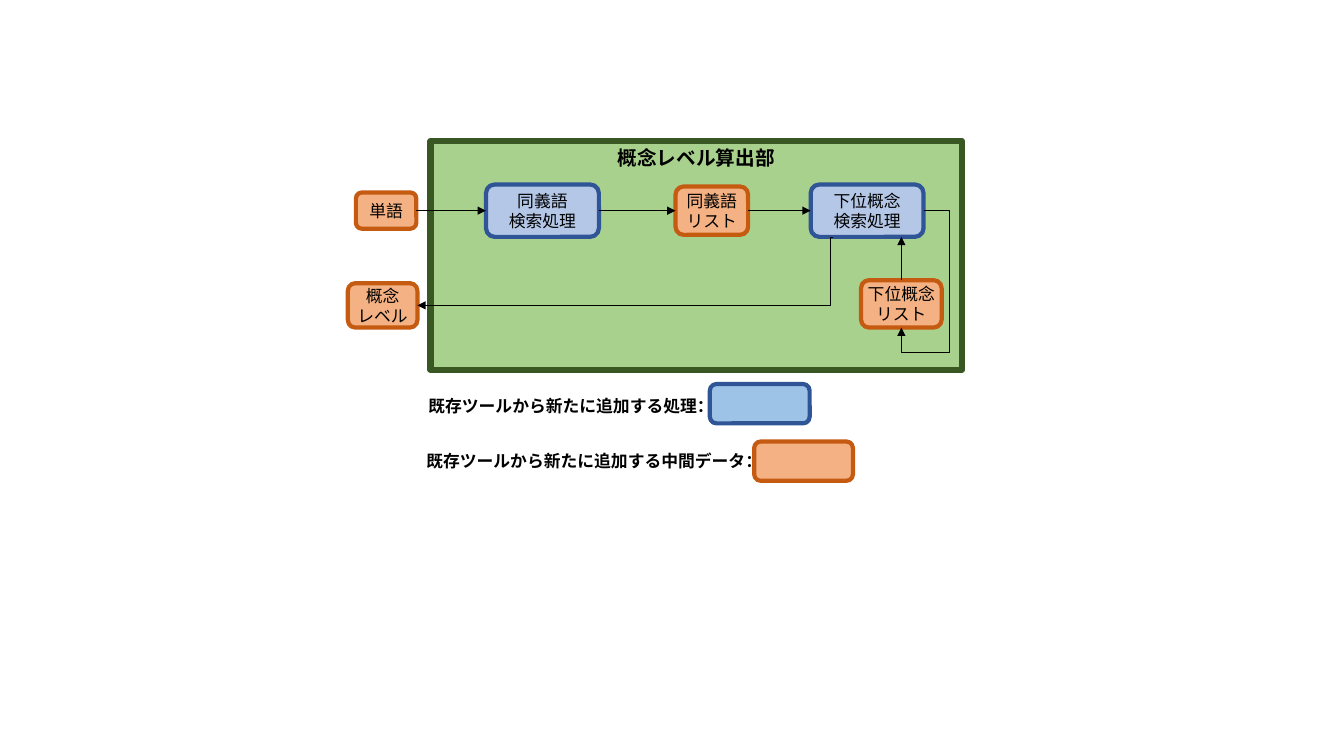
"""Build the concept level calculation flow slide."""
from typing import NamedTuple

from pptx import Presentation
from pptx.dml.color import RGBColor
from pptx.enum.shapes import MSO_CONNECTOR, MSO_SHAPE
from pptx.enum.text import MSO_ANCHOR, MSO_AUTO_SIZE, PP_ALIGN
from pptx.oxml.ns import qn
from pptx.util import Inches, Pt
from lxml import etree

RECT, ROUND = MSO_SHAPE.RECTANGLE, MSO_SHAPE.ROUNDED_RECTANGLE
STRAIGHT, ELBOW = MSO_CONNECTOR.STRAIGHT, MSO_CONNECTOR.ELBOW
TOP, MIDDLE = MSO_ANCHOR.TOP, MSO_ANCHOR.MIDDLE
CENTER = PP_ALIGN.CENTER
FIT_SHAPE = MSO_AUTO_SIZE.SHAPE_TO_FIT_TEXT

FONT = "Noto Sans CJK JP"
BLACK = RGBColor(0x00, 0x00, 0x00)
GREEN = RGBColor(0xA9, 0xD1, 0x8E)
DARK_GREEN = RGBColor(0x38, 0x57, 0x23)
PALE_BLUE = RGBColor(0xB4, 0xC7, 0xE7)
SKY_BLUE = RGBColor(0x9D, 0xC3, 0xE6)
DARK_BLUE = RGBColor(0x2F, 0x55, 0x97)
ORANGE = RGBColor(0xF4, 0xB1, 0x83)
DARK_ORANGE = RGBColor(0xC5, 0x5A, 0x11)


class Style(NamedTuple):
    fill: RGBColor
    line: RGBColor
    shape: MSO_SHAPE = ROUND
    line_width: float = 3
    inset: float = 0.1
    anchor: MSO_ANCHOR = MIDDLE
    size: float = 12
    bold: bool = False


class Box(NamedTuple):
    left: float
    top: float
    width: float
    height: float
    style: Style
    text: str = ""


class Label(NamedTuple):
    left: float
    top: float
    width: float
    text: str


class Elbow(NamedTuple):
    start: tuple[float, float]
    end: tuple[float, float]
    preset: str
    adjustments: tuple[int, ...]


UNIT = Style(GREEN, DARK_GREEN, RECT, 4.5, anchor=TOP, size=14, bold=True)
PROCESS = Style(PALE_BLUE, DARK_BLUE)
DATA = Style(ORANGE, DARK_ORANGE, inset=0.04)
PROCESS_KEY = Style(SKY_BLUE, DARK_BLUE)

BOXES = {
    "unit": Box(4.27, 1.4, 5.27, 2.27, UNIT, "概念レベル算出部"),
    "hyponym_search": Box(8.04, 1.83, 1.12, 0.52, PROCESS, "下位概念\n検索処理"),
    "synonym_search": Box(4.82, 1.83, 1.12, 0.52, PROCESS, "同義語\n検索処理"),
    "synonyms": Box(6.7, 1.85, 0.72, 0.48, DATA, "同義語\nリスト"),
    "hyponyms": Box(8.54, 2.78, 0.8, 0.47, DATA, "下位概念\nリスト"),
    "word": Box(3.53, 1.91, 0.6, 0.36, DATA, "単語"),
    "level": Box(3.45, 2.81, 0.69, 0.44, DATA, "概念\nレベル"),
    "process_key": Box(7.04, 3.81, 0.99, 0.39, PROCESS_KEY),
    "data_key": Box(7.48, 4.38, 0.98, 0.39, DATA),
}
LABELS = [
    Label(4.15, 3.88, 2.95, "既存ツールから新たに追加する処理："),
    Label(4.13, 4.42, 3.45, "既存ツールから新たに追加する中間データ："),
]
FLOW = ["word", "synonym_search", "synonyms", "hyponym_search"]
ELBOWS = [
    Elbow((9.16, 2.09), (8.94, 3.25), "bentConnector4", (-118000, 121500)),
    Elbow((8.26, 2.35), (4.14, 3.03), "bentConnector3", (500,)),
]


def write_text(tf, text: str, size: float, bold: bool) -> None:
    """Fill a text frame and format its runs."""
    tf.text = text
    for p in tf.paragraphs:
        for r in p.runs:
            r.font.size, r.font.bold = Pt(size), bold
            r.font.name = FONT
            r.font.color.rgb = BLACK
            ea = etree.SubElement(r.font._element, qn("a:ea"))
            ea.set("typeface", FONT)


def add_box(s, box: Box):
    """Draw a box with its centred text."""
    style = box.style
    sp = s.shapes.add_shape(style.shape, *map(Inches, box[:4]))
    sp.shadow.inherit = False
    sp.fill.solid()
    sp.fill.fore_color.rgb = style.fill
    sp.line.color.rgb = style.line
    sp.line.width = Pt(style.line_width)
    if box.text:
        tf = sp.text_frame
        tf.vertical_anchor = style.anchor
        tf.margin_left = tf.margin_right = Inches(style.inset)
        tf.margin_top = tf.margin_bottom = Inches(min(style.inset, 0.05))
        write_text(tf, box.text, style.size, style.bold)
        for p in tf.paragraphs:
            p.alignment = CENTER
    return sp


def add_label(s, label: Label) -> None:
    """Draw a bold legend label."""
    sp = s.shapes.add_textbox(*map(Inches, (label.left, label.top, label.width, 0.3)))
    tf = sp.text_frame
    tf.word_wrap = True
    tf.auto_size = FIT_SHAPE
    write_text(tf, label.text, 12, True)


def add_arrow(s, kind: MSO_CONNECTOR, start: tuple[float, float], end: tuple[float, float]):
    """Draw a thin black connector with an arrowhead at its end."""
    cxn = s.shapes.add_connector(kind, *map(Inches, (*start, *end)))
    cxn.line.color.rgb = BLACK
    cxn.line.width = Pt(0.5)
    sp_pr = cxn._element.spPr
    etree.SubElement(sp_pr.find(qn("a:ln")), qn("a:tailEnd")).set("type", "triangle")
    etree.SubElement(sp_pr, qn("a:effectLst"))
    return cxn


def add_elbow(s, elbow: Elbow) -> None:
    """Draw a bent arrow with its own bend positions."""
    cxn = add_arrow(s, ELBOW, elbow.start, elbow.end)
    geom = cxn._element.spPr.find(qn("a:prstGeom"))
    geom.set("prst", elbow.preset)
    guides = geom.find(qn("a:avLst"))
    for i, value in enumerate(elbow.adjustments, 1):
        gd = etree.SubElement(guides, qn("a:gd"))
        gd.set("name", f"adj{i}")
        gd.set("fmla", f"val {value}")


def main() -> None:
    """Draw the slide and save it."""
    prs = Presentation()
    prs.slide_width, prs.slide_height = Inches(13.33), Inches(7.5)
    s = prs.slides.add_slide(prs.slide_layouts[6])
    shapes = {name: add_box(s, box) for name, box in BOXES.items()}
    for label in LABELS:
        add_label(s, label)
    for source, target in zip(FLOW, FLOW[1:]):
        a, b = BOXES[source], BOXES[target]
        cxn = add_arrow(s, STRAIGHT, (a.left + a.width, 2.09), (b.left, 2.09))
        cxn.begin_connect(shapes[source], 3)
        cxn.end_connect(shapes[target], 1)
    cxn = add_arrow(s, STRAIGHT, (8.94, 2.78), (8.94, 2.35))
    cxn.begin_connect(shapes["hyponyms"], 0)
    for elbow in ELBOWS:
        add_elbow(s, elbow)
    prs.save("out.pptx")


if __name__ == "__main__":
    main()
